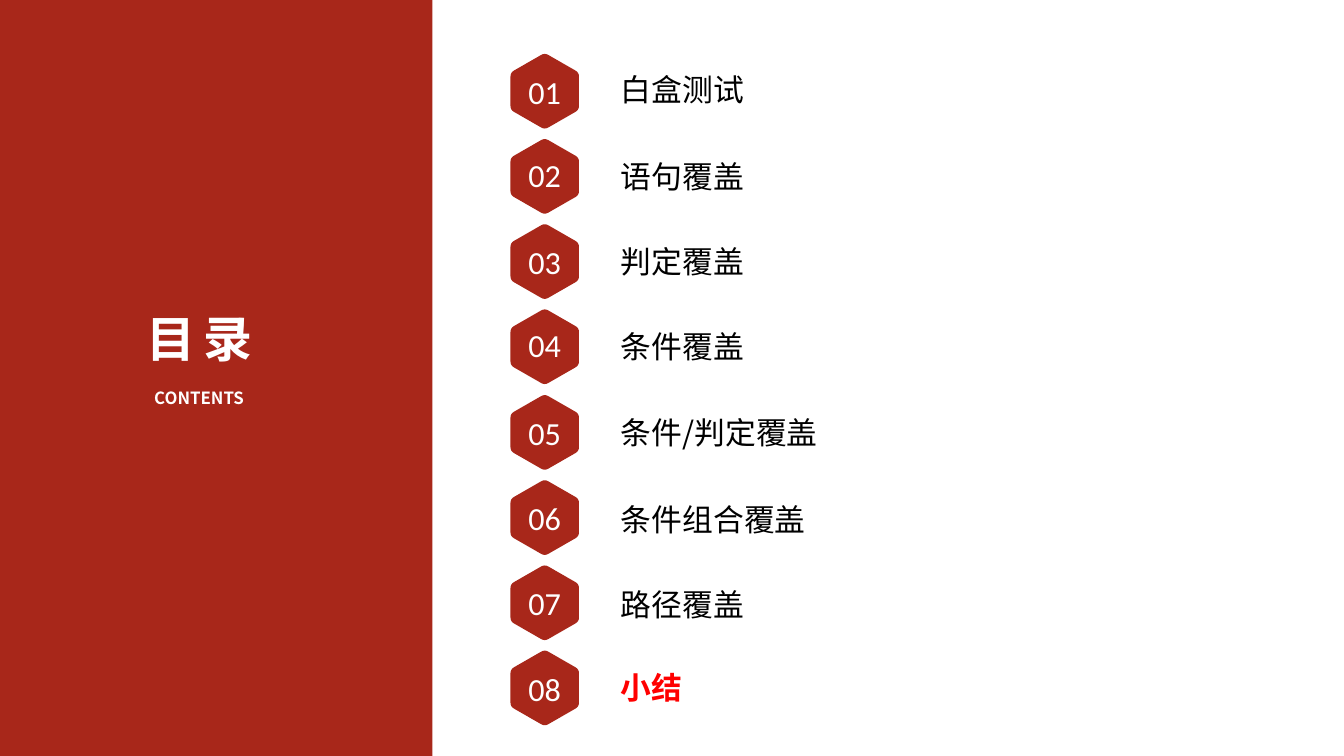
from dataclasses import dataclass

from lxml import etree
from pptx import Presentation
from pptx.dml.color import RGBColor
from pptx.enum import shapes, text
from pptx.oxml import ns
from pptx.util import Pt

PX = 9144  # EMU per px, 100 px to the inch


@dataclass(frozen=True)
class Theme:
    red: str = "A8271A"
    white: str = "FFFFFF"
    ink: str = "000000"
    alert: str = "FF0000"
    han: str = "Noto Sans CJK SC"
    latin: str = "Calibri"
    title: int = 70
    sub: int = 24
    label: int = 44
    num: int = 46


T = Theme()

# Label, label top and number top, both measured from the top of the badge
ROWS = [
    ("白盒测试", 27, 21),
    ("语句覆盖", 30, 17),
    ("判定覆盖", 30, 21),
    ("条件覆盖", 30, 16),
    ("条件/判定覆盖", 30, 21),
    ("条件组合覆盖", 34, 21),
    ("路径覆盖", 35, 21),
    ("小结", 30, 21),
]
FIRST, LAST = 108, 1292  # badge tops
MID_X = 1081
CORNERS = [(0, -76), (68, -37), (68, 37), (0, 76), (-68, 37), (-68, -37)]
CUT = 8


def px(*vals):
    return [v * PX for v in vals]


def paint(shape, color):
    shape.shadow.inherit = False
    shape.fill.solid()
    shape.fill.fore_color.rgb = RGBColor.from_string(color)
    shape.line.fill.background()


def write(shape, words, size, color, font=T.han, bold=False,
          align=text.PP_ALIGN.LEFT, anchor=text.MSO_ANCHOR.TOP, track=0):
    frame = shape.text_frame
    frame.word_wrap = True
    frame.auto_size = text.MSO_AUTO_SIZE.NONE
    frame.vertical_anchor = anchor
    frame.margin_left = frame.margin_right = 5 * PX
    frame.margin_top = frame.margin_bottom = 5 * PX
    para = frame.paragraphs[0]
    para.alignment = align
    para.space_before = Pt(0)
    run = para.add_run()
    run.text = words
    run.font.size = Pt(size)
    run.font.bold = bold
    run.font.name = font
    run.font.color.rgb = RGBColor.from_string(color)
    props = run.font._element
    etree.SubElement(props, ns.qn("a:ea")).set("typeface", font)
    if track:
        props.set("spc", str(track))


def place(shape, x, y, w, h):
    shape.left, shape.top, shape.width, shape.height = px(x, y, w, h)


def panel(slide):
    box = slide.shapes.add_shape(
        shapes.MSO_SHAPE.RECTANGLE, *px(0, 0, 858, 1500))
    paint(box, T.red)
    # Behind the title placeholders
    slide.shapes._spTree.insert(2, box._element)


def toward(a, b):
    """Point CUT px from a on the way to b."""
    dx, dy = b[0] - a[0], b[1] - a[1]
    k = CUT / (dx * dx + dy * dy) ** 0.5
    return a[0] + dx * k, a[1] + dy * k


def outline(mid_y):
    """Hexagon points, each corner rounded by a sampled curve."""
    pts = []
    for i, c in enumerate(CORNERS):
        a = toward(c, CORNERS[i - 1])
        b = toward(c, CORNERS[(i + 1) % 6])
        for t in (0, 0.25, 0.5, 0.75, 1):
            x, y = [(1 - t) ** 2 * p + 2 * t * (1 - t) * q + t * t * r
                    for p, q, r in zip(a, c, b)]
            pts.append((round((MID_X + x) * PX), round((mid_y + y) * PX)))
    return pts


def badge(slide, top):
    pts = outline(top + 73)
    path = slide.shapes.build_freeform(*pts[0])
    path.add_line_segments(pts[1:], close=True)
    paint(path.convert_to_shape(), T.red)


def row(slide, i, label, drop, num_drop):
    top = FIRST + round(i * (LAST - FIRST) / (len(ROWS) - 1))
    badge(slide, top)
    num = slide.shapes.add_textbox(*px(994, top + num_drop, 174, 105))
    write(num, f"{i + 1:02}", T.num, T.white, T.latin,
          align=text.PP_ALIGN.CENTER, anchor=text.MSO_ANCHOR.MIDDLE)
    here = i == len(ROWS) - 1  # current section
    name = slide.shapes.add_textbox(*px(1227, top + drop, 611, 78))
    write(name, label, T.label, T.alert if here else T.ink, bold=here)


def main():
    deck = Presentation()
    deck.slide_width, deck.slide_height = px(2667, 1500)
    slide = deck.slides.add_slide(deck.slide_layouts[0])

    # Left panel with heading
    panel(slide)
    title, sub = slide.placeholders
    place(title, 112, 608, 568, 285)
    write(title, "目录", T.title, T.white, bold=True,
          align=text.PP_ALIGN.CENTER, track=1170)
    place(sub, 187, 764, 416, 99)
    write(sub, "CONTENTS", T.sub, T.white, bold=True,
          align=text.PP_ALIGN.CENTER)

    # Numbered sections
    for i, (label, drop, num_drop) in enumerate(ROWS):
        row(slide, i, label, drop, num_drop)

    deck.save("out.pptx")


if __name__ == "__main__":
    main()
